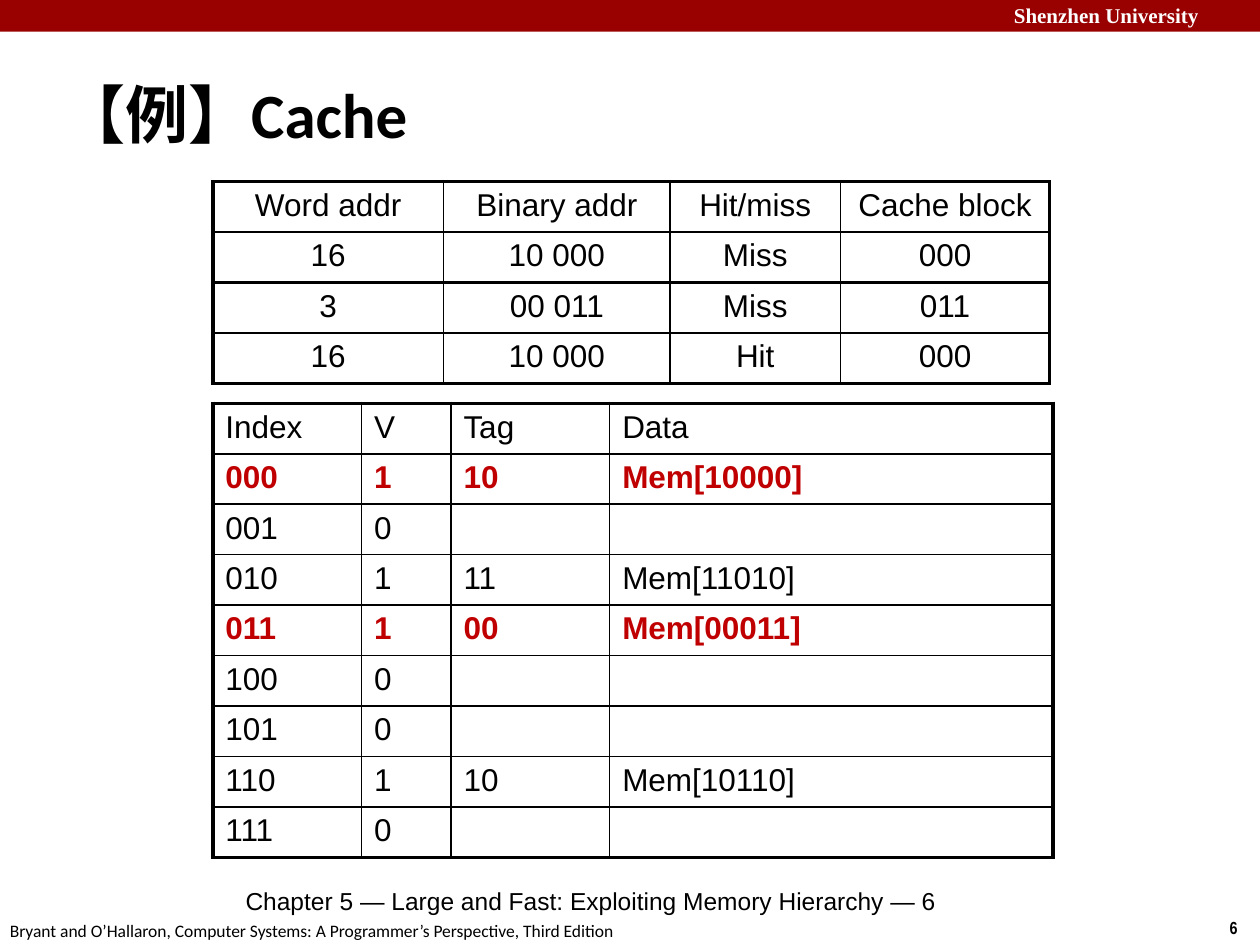
"""Build the slide with the cache access and cache content tables."""
from lxml.etree import SubElement
from pptx import Presentation
from pptx.dml.color import RGBColor
from pptx.enum.shapes import MSO_SHAPE
from pptx.enum.text import MSO_ANCHOR, MSO_AUTO_SIZE, PP_ALIGN
from pptx.oxml.ns import qn
from pptx.util import Cm, Pt

COLORS = {"banner": "990000", "text": "000000", "light": "FFFFFF", "accessed": "C00000"}
OUTER, HEADER, INNER = 2.25, 1.5, 1

ACCESSES = [
    ("Word addr", "Binary addr", "Hit/miss", "Cache block"),
    ("16", "10 000", "Miss", "000"),
    ("3", "00 011", "Miss", "011"),
    ("16", "10 000", "Hit", "000"),
]
CACHE = [
    ("Index", "V", "Tag", "Data"),
    ("000", "1", "10", "Mem[10000]"),
    ("001", "0", "", ""),
    ("010", "1", "11", "Mem[11010]"),
    ("011", "1", "00", "Mem[00011]"),
    ("100", "0", "", ""),
    ("101", "0", "", ""),
    ("110", "1", "10", "Mem[10110]"),
    ("111", "0", "", ""),
]


def style(paragraph, size, face, color="text", bold=False, align=PP_ALIGN.LEFT):
    paragraph.alignment = align
    font = paragraph.font
    font.size, font.name, font.bold = Pt(size), face, bold
    font.color.rgb = RGBColor.from_string(COLORS[color])


def add_banner(slide):
    banner = slide.shapes.add_shape(MSO_SHAPE.RECTANGLE, 0, 0, Cm(25.4), Cm(0.64))
    banner.shadow.inherit = False
    banner.fill.solid()
    banner.fill.fore_color.rgb = RGBColor.from_string(COLORS["banner"])
    banner.line.fill.background()


def add_label(slide, text, left, top, width, height, size, face, wrap=True, **look):
    label = slide.shapes.add_textbox(Cm(left), Cm(top), Cm(width), Cm(height))
    label.text_frame.word_wrap = wrap
    label.text_frame.text = text
    style(label.text_frame.paragraphs[0], size, face, **look)


def set_title(slide, text):
    title = slide.shapes.title
    title.left, title.top, title.width, title.height = Cm(1), Cm(1.22), Cm(21.08), Cm(2.11)
    frame = title.text_frame
    frame.text = text
    frame.auto_size = MSO_AUTO_SIZE.NONE
    frame.vertical_anchor = MSO_ANCHOR.MIDDLE
    style(frame.paragraphs[0], 36, "Calibri", bold=True)


def set_borders(cell, **widths):
    properties = cell._tc.get_or_add_tcPr()
    for side in "LRTB":
        border = SubElement(properties, qn(f"a:ln{side}"), w=str(Pt(widths[side])))
        fill = SubElement(border, qn("a:solidFill"))
        SubElement(fill, qn("a:srgbClr"), val=COLORS["text"])


def add_grid(slide, rows, top, height, widths, rule, align, accessed=()):
    grid = slide.shapes.add_table(
        len(rows), len(widths), Cm(4.29), Cm(top), Cm(sum(widths)), Cm(height)
    ).table
    grid.first_row = grid.horz_banding = False
    for column, width in zip(grid.columns, widths):
        column.width = Cm(width)
    row_rules = [OUTER, HEADER] + [rule] * (len(rows) - 2) + [OUTER]
    column_rules = [OUTER] + [INNER] * (len(widths) - 1) + [OUTER]
    for r, values in enumerate(rows):
        marked = r in accessed
        for c, value in enumerate(values):
            cell = grid.cell(r, c)
            cell.text = value
            style(cell.text_frame.paragraphs[0], 18, "Arial",
                  "accessed" if marked else "text", marked, align)
            set_borders(cell, L=column_rules[c], R=column_rules[c + 1],
                        T=row_rules[r], B=row_rules[r + 1])
            cell.fill.background()


def main():
    deck = Presentation()
    deck.slide_width, deck.slide_height = Cm(25.4), Cm(19.05)
    slide = deck.slides.add_slide(deck.slide_layouts[5])
    add_banner(slide)
    add_label(slide, "Shenzhen University", 20.19, -0.08, 5.38, 0.76, 12,
              "Times New Roman", color="light", bold=True)
    add_label(slide, "6", 24.54, 18.36, 0.86, 0.69, 10, "Arial Narrow", wrap=False, bold=True)
    add_label(slide, "Bryant and O’Hallaron, Computer Systems: A Programmer’s Perspective, Third Edition",
              -0.05, 18.42, 12.93, 0.69, 10, "Calibri", wrap=False)
    add_label(slide, "Chapter 5 — Large and Fast: Exploiting Memory Hierarchy — 6",
              4.7, 17.73, 20.19, 0.99, 14, "Arial")
    set_title(slide, "【例】Cache")
    add_grid(slide, CACHE, 8.13, 9.14, (3, 1.8, 3.2, 8.94), INNER, PP_ALIGN.LEFT, accessed=(1, 4))
    add_grid(slide, ACCESSES, 3.66, 4.06, (4.65, 4.57, 3.43, 4.22), HEADER, PP_ALIGN.CENTER)
    deck.save("out.pptx")


if __name__ == "__main__":
    main()
